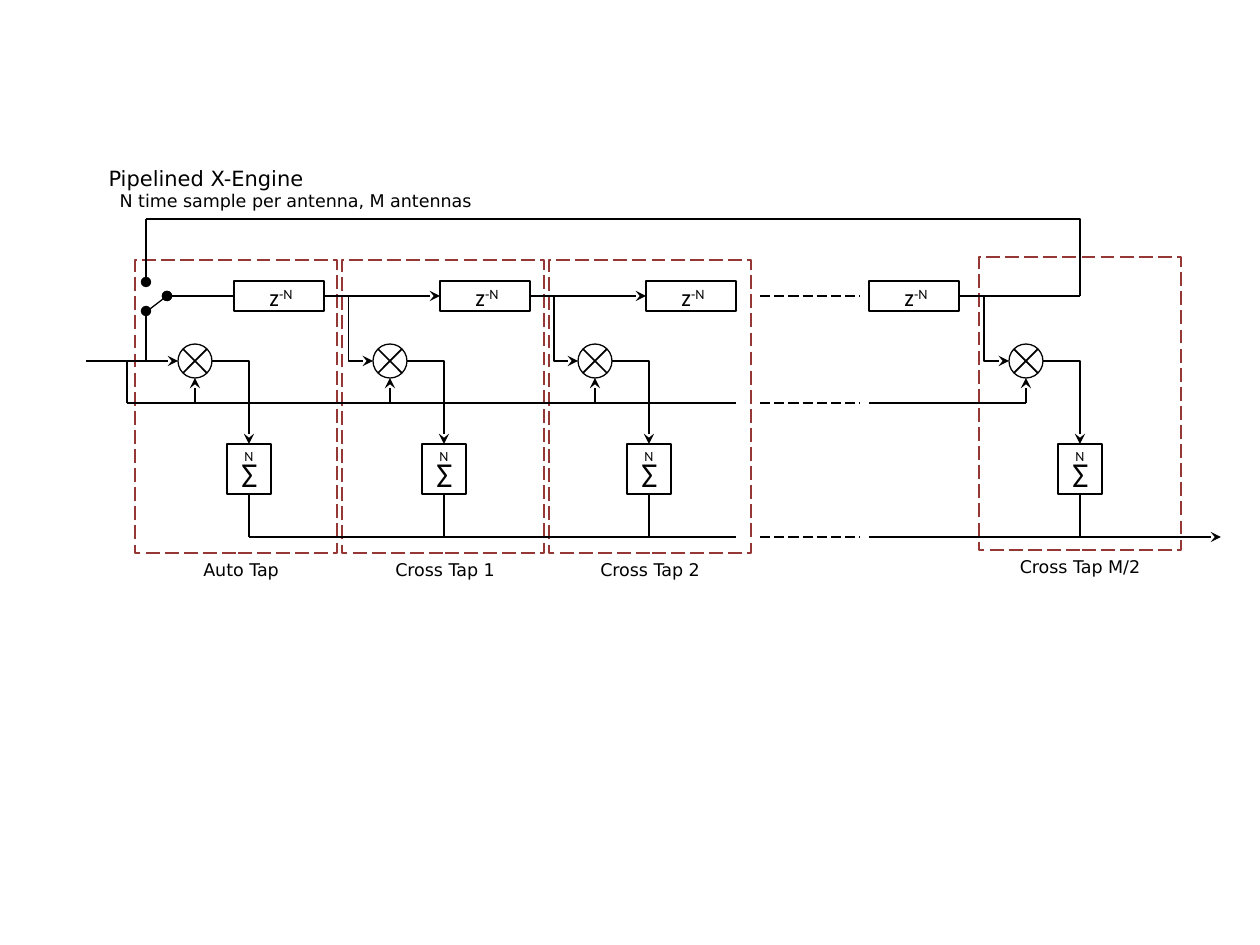
from dataclasses import dataclass
from lxml import etree
from pptx import Presentation
from pptx import util as u
from pptx.dml.color import RGBColor
from pptx.enum import dml, shapes, text
from pptx.oxml.ns import qn


@dataclass(frozen=True)
class Theme:
    ink: RGBColor = RGBColor(0x00, 0x00, 0x00)
    paper: RGBColor = RGBColor(0xFF, 0xFF, 0xFF)
    frame: RGBColor = RGBColor(0x95, 0x37, 0x35)
    math: str = "Calibri"
    body: str = "DejaVu Sans"
    thin: float = 0.75
    thick: float = 1
    title: int = 12
    label: int = 10
    delay: int = 14
    sigma: int = 20
    count: int = 8


T = Theme()
PX = 914400 / 126
DASH = dml.MSO_LINE.LONG_DASH
STRAIGHT, ELBOW = shapes.MSO_CONNECTOR.STRAIGHT, shapes.MSO_CONNECTOR.ELBOW

prs = Presentation()
prs.slide_width, prs.slide_height = u.Inches(10), u.Inches(7.5)
s = prs.slides.add_slide(prs.slide_layouts[5])


def wire(x1, y1, x2, y2, head=None, tail=None, kind=STRAIGHT, width=T.thin, dash=None):
    cx = s.shapes.add_connector(kind, *[round(v * PX) for v in (x1, y1, x2, y2)])
    cx.line.color.rgb, cx.line.width = T.ink, u.Pt(width)
    if dash:
        cx.line.dash_style = dash
    ln = cx.line._get_or_add_ln()
    for tag, end in (("a:headEnd", head), ("a:tailEnd", tail)):
        if end:
            etree.SubElement(ln, qn(tag)).set("type", end)
    etree.SubElement(cx._element.spPr, qn("a:effectLst"))
    return cx


def label(x, y, w, h, runs, font, align=None):
    sp = s.shapes.add_textbox(*[round(v * PX) for v in (x, y, w, h)])
    tf = sp.text_frame
    tf.word_wrap = False
    tf.auto_size = text.MSO_AUTO_SIZE.SHAPE_TO_FIT_TEXT
    p = tf.paragraphs[0]
    p.alignment = align
    for words, size, raised in runs:
        r = p.add_run()
        r.text = words
        r.font.name, r.font.size, r.font.color.rgb = font, u.Pt(size), T.ink
        if raised:
            r.font._element.set("baseline", "30000")


# Rows and columns
DELAY_Y, MIX_Y, SAMPLE_Y, OUT_Y, LOOP_Y = 296, 361, 403, 537, 219
MIX_R, ACC_DX, ACC_Y = 17, 54, 444
# name, delay left, mixer centre, frame left, frame top, label centre, label width
taps = [
    ("Auto Tap", 234, 195, 135, 260, 241, 106),
    ("Cross Tap 1", 440, 390, 342, 260, 445, 131),
    ("Cross Tap 2", 646, 595, 549, 260, 650, 131),
    ("Cross Tap M/2", 869, 1026, 979, 257, 1080, 154),
]

# Title and subtitle
title = s.shapes.title
title.left, title.top, title.width, title.height = [round(v * PX) for v in (96, 159, 397, 59)]
tf = title.text_frame
tf.word_wrap = False
tf.auto_size = text.MSO_AUTO_SIZE.SHAPE_TO_FIT_TEXT
tf.vertical_anchor = text.MSO_ANCHOR.TOP
lines = [("Pipelined X-Engine", T.title, 0),
         ("N time sample per antenna, M antennas", T.label, 11)]
for i, (words, size, indent) in enumerate(lines):
    p = tf.paragraphs[0] if i == 0 else tf.add_paragraph()
    p.alignment = text.PP_ALIGN.LEFT
    p._p.get_or_add_pPr().set("marL", str(round(indent * PX)))
    r = p.add_run()
    r.text = words
    r.font.name, r.font.size, r.font.color.rgb = T.body, u.Pt(size), T.ink

# Delay, mixer, accumulator and dashed frame of each tap
RECT, OVAL = shapes.MSO_SHAPE.RECTANGLE, shapes.MSO_SHAPE.OVAL
delays, accumulators = [], []
for name, delay_x, mix_x, frame_x, frame_y, label_x, label_w in taps:
    acc_x = mix_x + ACC_DX
    parts = [
        (RECT, delay_x, DELAY_Y - 15, 90, 30),
        (OVAL, mix_x - MIX_R, MIX_Y - MIX_R, 2 * MIX_R, 2 * MIX_R),
        (RECT, acc_x - 22, ACC_Y, 44, 50),
        (RECT, frame_x, frame_y, 202, 293),
    ]
    made = []
    for shape, *box in parts:
        sp = s.shapes.add_shape(shape, *[round(v * PX) for v in box])
        sp.shadow.inherit = False
        sp.fill.solid()
        sp.fill.fore_color.rgb = T.paper
        sp.line.color.rgb, sp.line.width = T.ink, u.Pt(T.thin)
        made.append(sp)
    delay, mixer, acc, frame = made
    frame.fill.background()
    frame.line.color.rgb, frame.line.width = T.frame, u.Pt(T.thick)
    frame.line.dash_style = DASH
    delays.append(delay)
    accumulators.append(acc)

    for slope in (1, -1):
        wire(mix_x - 12, MIX_Y - 12 * slope, mix_x + 12, MIX_Y + 12 * slope, width=T.thick)
    label(delay_x + 23, DELAY_Y - 20, 50, 43, [("z", T.delay, False), ("-N", T.delay, True)], T.math)
    label(acc_x - 20, ACC_Y + 2, 42, 55, [("Σ", T.sigma, False)], T.math)
    label(acc_x - 17, ACC_Y - 3, 34, 30, [("N", T.count, False)], T.math)
    label(label_x - label_w / 2, frame_y + 293, label_w, 34, [(name, T.label, False)],
          T.body, text.PP_ALIGN.CENTER)

# Mixer input, mixer output and accumulator output
for i, (tap, acc) in enumerate(zip(taps, accumulators)):
    mix_x = tap[2]
    acc_x = mix_x + ACC_DX
    wire(mix_x, SAMPLE_Y, mix_x, MIX_Y + MIX_R, tail="stealth")
    down = wire(mix_x + MIX_R, MIX_Y, acc_x, ACC_Y, tail="stealth", kind=ELBOW)
    down._element.spPr.find(qn("a:prstGeom")).set("prst", "bentConnector2")
    down.end_connect(acc, 0)
    wire(acc_x, ACC_Y + 50, acc_x, OUT_Y).begin_connect(acc, 2)
    if i:
        source = 3 if i == 3 else i - 1
        feed = wire(taps[source][1] + 90, DELAY_Y, mix_x - MIX_R, MIX_Y, tail="stealth", kind=ELBOW)
        feed.begin_connect(delays[source], 3)

# Delay chain
for left, right in zip(delays[:2], delays[1:3]):
    link = wire(0, DELAY_Y, 1, DELAY_Y, tail="stealth")
    link.begin_connect(left, 3)
    link.end_connect(right, 1)

# Buses and the omitted taps
wire(127, MIX_Y, 127, SAMPLE_Y)
wire(127, SAMPLE_Y, 736, SAMPLE_Y)
wire(869, SAMPLE_Y, 1026, SAMPLE_Y)
wire(249, OUT_Y, 736, OUT_Y)
wire(869, OUT_Y, 1221, OUT_Y, tail="stealth")
for y in (DELAY_Y, SAMPLE_Y, OUT_Y):
    wire(760, y, 860, y, dash=DASH)

# Input, switch and feedback loop
wire(86, MIX_Y, 178, MIX_Y, tail="stealth")
wire(146, 311, 146, MIX_Y, head="oval")
wire(146, LOOP_Y, 146, 282, tail="oval")
wire(234, DELAY_Y, 167, DELAY_Y, tail="oval").begin_connect(delays[0], 1)
wire(146, 312, 167, DELAY_Y, tail="oval")
wire(982, DELAY_Y, 1080, DELAY_Y)
loop = wire(146, LOOP_Y, 1080, DELAY_Y, kind=ELBOW)
loop._element.spPr.find(qn("a:prstGeom")).set("prst", "bentConnector2")

prs.save("out.pptx")
